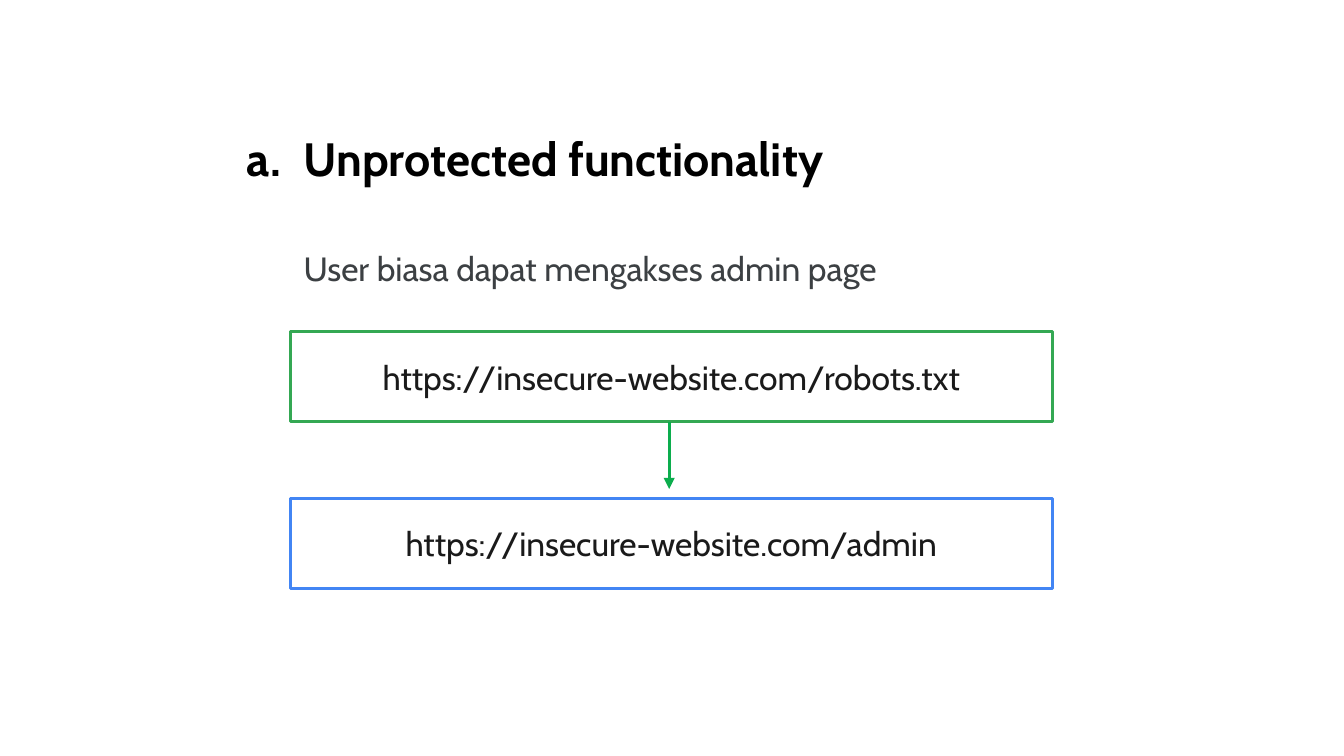
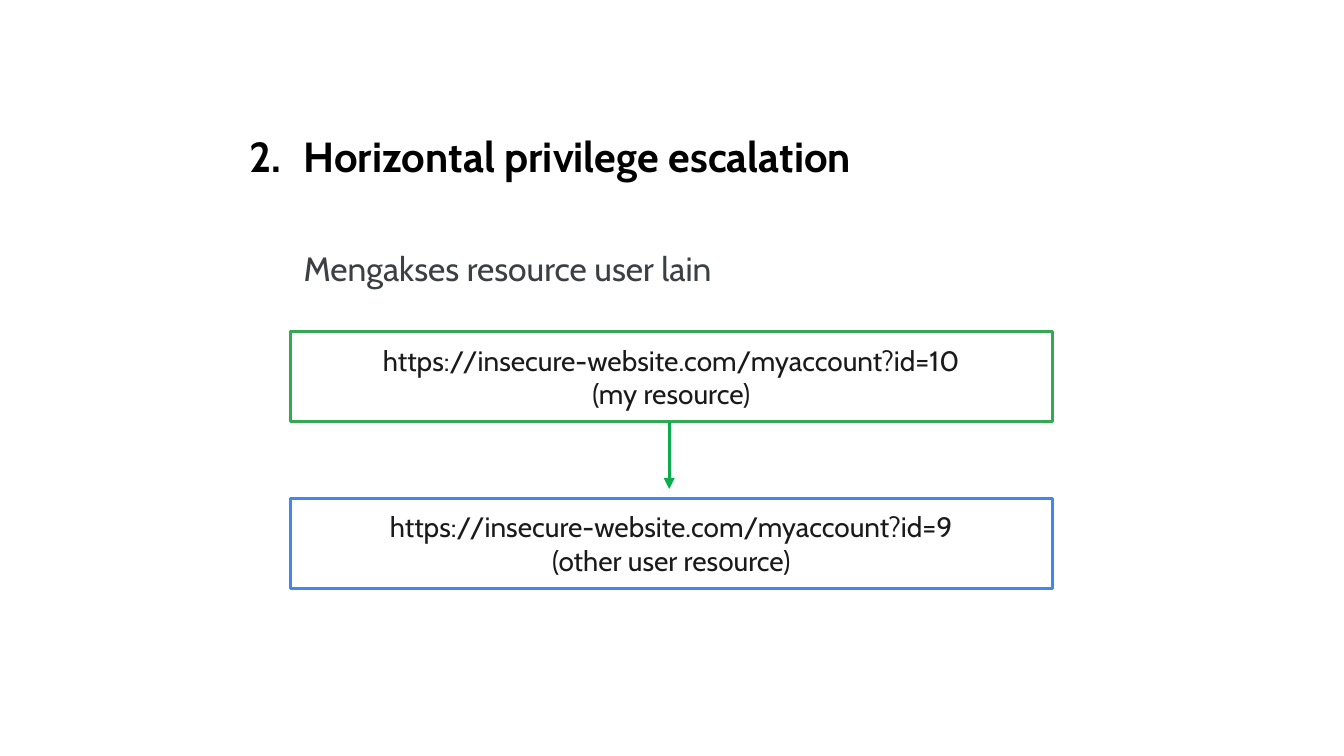
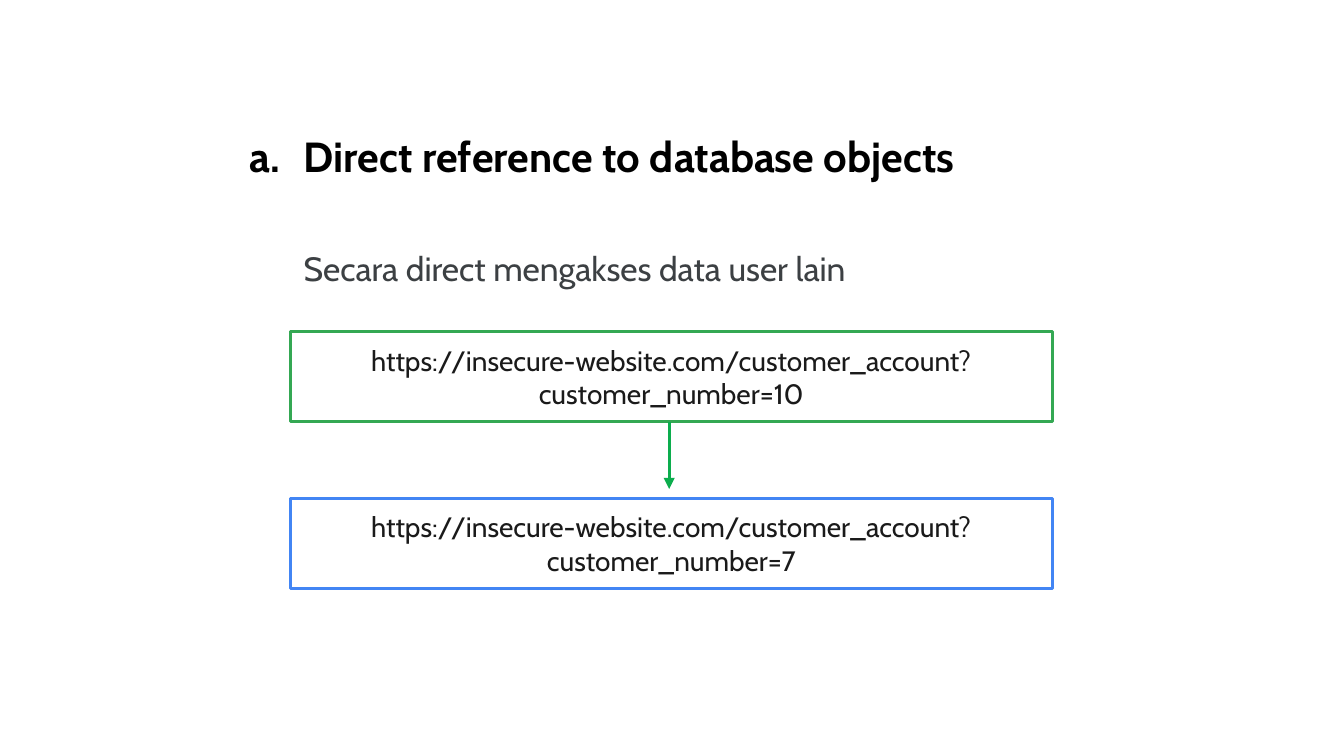
from pptx import Presentation
from pptx.dml.color import RGBColor
from pptx.enum import shapes, text
from pptx.oxml.ns import qn
from pptx.util import Pt
from lxml import etree

FONT = "Cabin"
BLACK, INK, GREY, WHITE = "000000", "1A1A1A", "3C4043", "FFFFFF"
GREEN, BLUE, ARROW_GREEN = "34A853", "4285F4", "0CAD4D"
LINE_WIDTH = 1.5
TEXT_INSET = 7.2

TITLE_LEFT, TITLE_TOP, TITLE_HEIGHT = 119.5, 62.6, 45
BOX_LEFT, BOX_WIDTH, BOX_HEIGHT = 155.5, 408.3, 48.2
FIRST_BOX_TOP, BOX_STEP = 177.8, 89.3
ARROW_X, ARROW_LENGTH = 358.5, 36
TITLE_INDENT = 36

SLIDES = [
    {
        "title": "Unprotected functionality",
        "title_size": 25,
        "title_width": 367,
        "numbering": {"type": "alphaLcPeriod"},
        "description": "User biasa dapat mengakses admin page",
        "url_size": 18,
        "source": ["https://insecure-website.com/robots.txt"],
        "target": ["https://insecure-website.com/admin"],
    },
    {
        "title": "Horizontal privilege escalation",
        "title_size": 22.5,
        "title_width": 394,
        "numbering": {"type": "arabicPeriod", "startAt": "2"},
        "description": "Mengakses resource user lain",
        "url_size": 15,
        "source": ["https://insecure-website.com/myaccount?id=10", "(my resource)"],
        "target": ["https://insecure-website.com/myaccount?id=9", "(other user resource)"],
    },
    {
        "title": "Direct reference to database objects",
        "title_size": 22.5,
        "title_width": 459,
        "numbering": {"type": "alphaLcPeriod"},
        "description": "Secara direct mengakses data user lain",
        "url_size": 15,
        "source": ["https://insecure-website.com/customer_account?", "customer_number=10"],
        "target": ["https://insecure-website.com/customer_account?", "customer_number=7"],
    },
]


def color(hex_code):
    return RGBColor.from_string(hex_code)


def set_attributes(target, values):
    for name, value in values.items():
        setattr(target, name, value)


def set_frame(frame, inset, anchor):
    margins = {f"margin_{side}": Pt(inset) for side in ("left", "top", "right", "bottom")}
    set_attributes(frame, {"word_wrap": True, "vertical_anchor": anchor,
                           "auto_size": text.MSO_AUTO_SIZE.NONE, **margins})


def write(frame, lines, size, hex_code, bold=False, **paragraph_format):
    """Fill a text frame with one paragraph per line."""
    for index, line in enumerate(lines):
        para = frame.paragraphs[0] if index == 0 else frame.add_paragraph()
        set_attributes(para, paragraph_format)
        span = para.add_run()
        span.text = line
        set_attributes(span.font, {"name": FONT, "size": Pt(size), "bold": bold})
        span.font.color.rgb = color(hex_code)


def number_paragraph(para, numbering, hanging):
    properties = para._p.get_or_add_pPr()
    properties.set("marL", str(Pt(TITLE_INDENT)))
    properties.set("indent", str(-Pt(hanging)))
    bullet_color = etree.SubElement(properties, qn("a:buClr"))
    etree.SubElement(bullet_color, qn("a:srgbClr"), val=BLACK)
    etree.SubElement(properties, qn("a:buFont"), typeface=FONT)
    etree.SubElement(properties, qn("a:buAutoNum"), numbering)


def set_title(slide, title, size, width, numbering):
    box = slide.shapes.title
    set_attributes(box, {"left": Pt(TITLE_LEFT), "top": Pt(TITLE_TOP),
                         "width": Pt(width), "height": Pt(TITLE_HEIGHT)})
    set_frame(box.text_frame, TEXT_INSET, text.MSO_ANCHOR.TOP)
    # The hanging indent widens with the size of the number
    number_paragraph(box.text_frame.paragraphs[0], numbering, 18 + size / 2)
    write(box.text_frame, [title], size, BLACK, bold=True, alignment=text.PP_ALIGN.LEFT)


def add_description(slide, description):
    box = slide.shapes.add_textbox(Pt(BOX_LEFT), Pt(122.4), Pt(375), Pt(36))
    set_frame(box.text_frame, TEXT_INSET, text.MSO_ANCHOR.TOP)
    box.text_frame.auto_size = text.MSO_AUTO_SIZE.SHAPE_TO_FIT_TEXT
    write(box.text_frame, [description], 18, GREY, line_spacing=1.15, space_after=Pt(12))


def add_url_box(slide, row, lines, size, border):
    box = slide.shapes.add_shape(
        shapes.MSO_SHAPE.ROUNDED_RECTANGLE, Pt(BOX_LEFT),
        Pt(FIRST_BOX_TOP + row * BOX_STEP), Pt(BOX_WIDTH), Pt(BOX_HEIGHT))
    box.adjustments[0] = 0
    box.shadow.inherit = False
    box.fill.solid()
    box.fill.fore_color.rgb = color(WHITE)
    box.line.color.rgb = color(border)
    box.line.width = Pt(LINE_WIDTH)
    set_frame(box.text_frame, 0, text.MSO_ANCHOR.MIDDLE)
    write(box.text_frame, lines, size, INK, alignment=text.PP_ALIGN.CENTER)


def add_down_arrow(slide):
    top = FIRST_BOX_TOP + BOX_HEIGHT
    arrow = slide.shapes.add_connector(
        shapes.MSO_CONNECTOR.STRAIGHT, Pt(ARROW_X), Pt(top),
        Pt(ARROW_X), Pt(top + ARROW_LENGTH))
    arrow.line.color.rgb = color(ARROW_GREEN)
    arrow.line.width = Pt(LINE_WIDTH)
    etree.SubElement(arrow.line._get_or_add_ln(), qn("a:tailEnd"), type="triangle")
    etree.SubElement(arrow._element.spPr, qn("a:effectLst"))


def main():
    deck = Presentation()
    deck.slide_width, deck.slide_height = Pt(720), Pt(405)
    title_only = deck.slide_layouts[5]
    for content in SLIDES:
        slide = deck.slides.add_slide(title_only)
        set_title(slide, content["title"], content["title_size"],
                  content["title_width"], content["numbering"])
        add_url_box(slide, 0, content["source"], content["url_size"], GREEN)
        add_url_box(slide, 1, content["target"], content["url_size"], BLUE)
        add_down_arrow(slide)
        add_description(slide, content["description"])
    deck.save("out.pptx")


if __name__ == "__main__":
    main()
